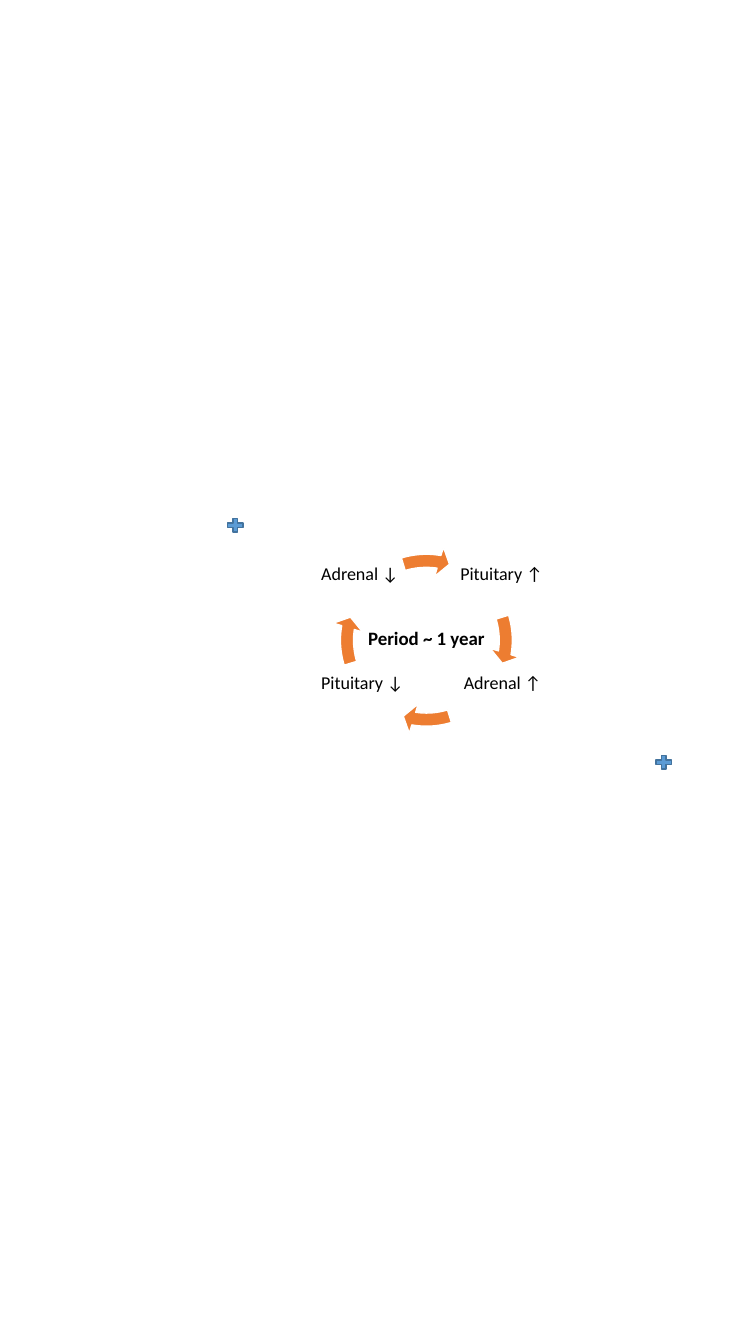
import pptx
import pptx.util
import pptx.dml.color
import pptx.enum.shapes
import pptx.enum.text

ORANGE = pptx.dml.color.RGBColor(0xED, 0x7D, 0x31)
BLUE = pptx.dml.color.RGBColor(0x5B, 0x9B, 0xD5)
NAVY = pptx.dml.color.RGBColor(0x43, 0x73, 0x9E)
WHITE = pptx.dml.color.RGBColor(0xFF, 0xFF, 0xFF)
BLACK = pptx.dml.color.RGBColor(0, 0, 0)
KIND = pptx.enum.shapes.MSO_SHAPE
CELL = pptx.util.Inches(0.1)

deck = pptx.Presentation()
deck.slide_width = 75 * CELL
deck.slide_height = int(133.3 * CELL)
slide = deck.slides.add_slide(deck.slide_layouts[6])


def draw(kind, box, fill, edge):
    shape = slide.shapes.add_shape(kind, *[int(n * CELL) for n in box])
    shape.shadow.inherit = False
    shape.fill.solid()
    shape.fill.fore_color.rgb = fill
    shape.line.color.rgb = edge
    shape.line.width = pptx.util.Pt(1)
    return shape


def write(text, box, inset, look):
    label = slide.shapes.add_textbox(*[int(n * CELL) for n in box])
    frame = label.text_frame
    frame.word_wrap = True
    frame.vertical_anchor = pptx.enum.text.MSO_ANCHOR.MIDDLE
    for side, size in zip(("left", "top", "right", "bottom"), inset):
        setattr(frame, "margin_" + side, int(size * CELL))
    line = frame.paragraphs[0]
    line.alignment = pptx.enum.text.PP_ALIGN.CENTER
    run = line.add_run()
    run.text = text
    run.font.color.rgb = BLACK
    for name, value in look.items():
        setattr(run.font, name, value)
    return frame


QUARTER, TURN = 54, 216
for step in range(4):
    arrow = draw(KIND.CIRCULAR_ARROW, (32.9, 54.1, 18.8, 18.8), ORANGE, WHITE)
    tip = 5.484 + step * QUARTER
    tail = (205.86 + step * QUARTER) % TURN
    for spot, value in enumerate((0.069, 4.656, tip, tail, 0.081)):
        arrow.adjustments[spot] = value

title = {"name": "Calibri", "size": pptx.util.Pt(13.5), "bold": True}
frame = write("Period ~ 1 year", (35.4, 61.6, 13.8, 3.3), (1, 0.5, 1, 0.5), title)
frame.auto_size = pptx.enum.text.MSO_AUTO_SIZE.SHAPE_TO_FIT_TEXT

for left, top in ((22.3, 51.2), (64.8, 74.7)):
    draw(KIND.MATH_PLUS, (left, top, 2.1, 1.8), BLUE, NAVY)

plain = {"name": "Calibri", "size": pptx.util.Pt(12.9)}
UPPER, LOWER = 53.6, 64.5
for text, left, top, width in (
    ("Pituitary ↑", 45.4, UPPER, 8.7),
    ("Adrenal ↑", 45.5, LOWER, 8.7),
    ("Pituitary ↓", 31.6, LOWER, 8.7),
    ("Adrenal ↓", 31.6, UPPER, 8.2),
):
    frame = write(text, (left, top, width, 6.7), (0.2,) * 4, plain)
    frame.paragraphs[0].line_spacing = 0.9

deck.save("out.pptx")
